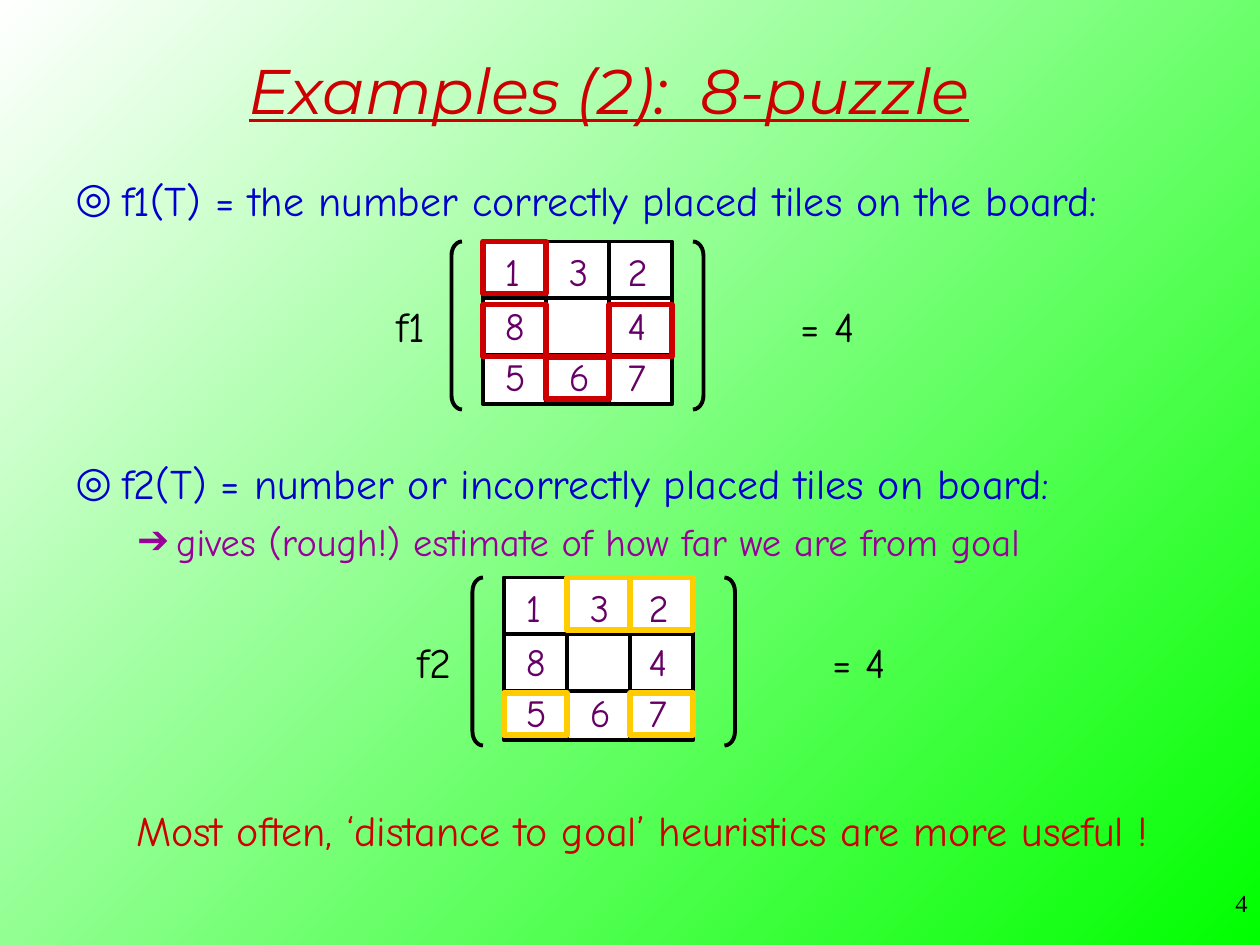
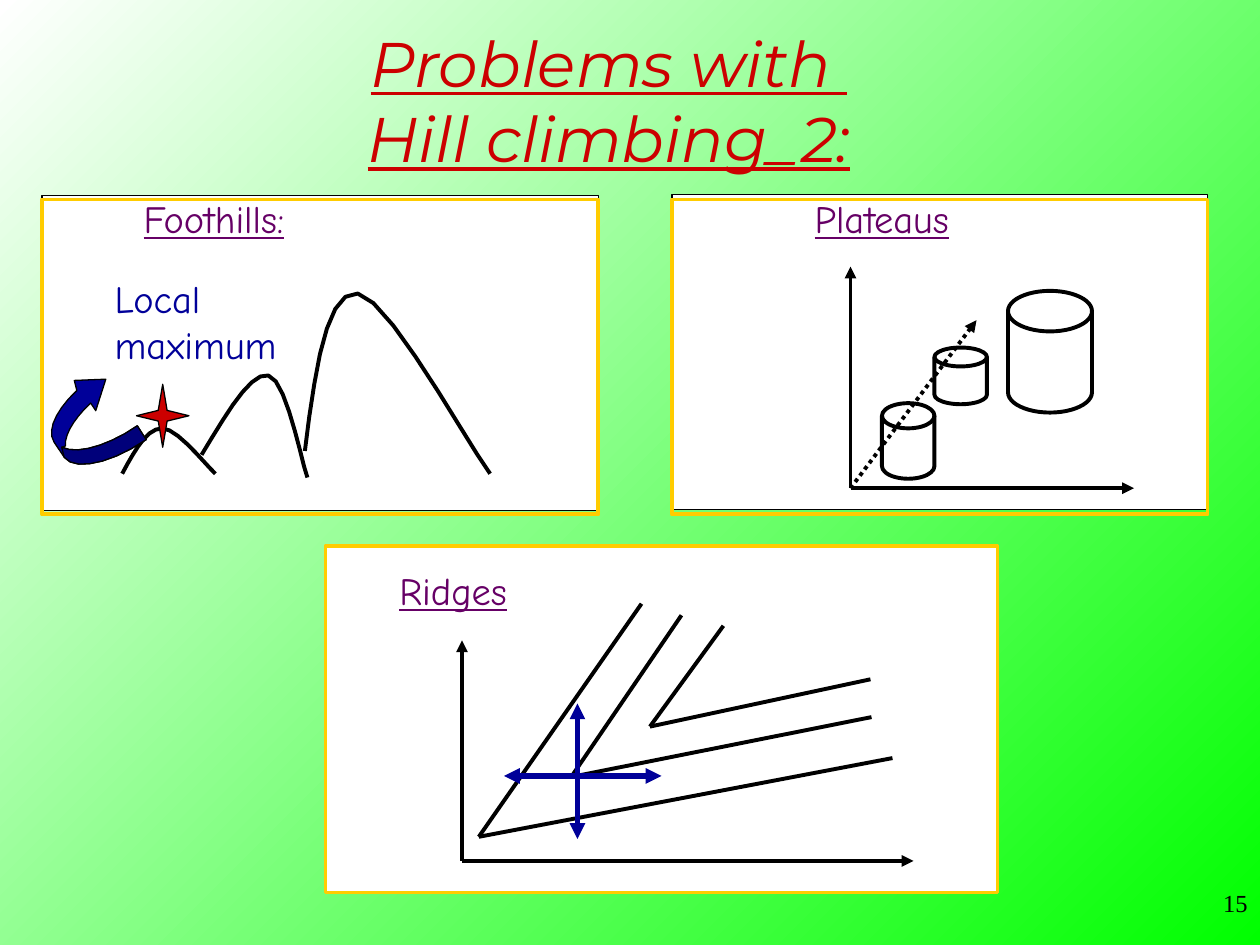
from lxml import etree
from pptx import Presentation
from pptx.dml.color import RGBColor
from pptx.enum.dml import MSO_LINE
from pptx.enum.shapes import MSO_CONNECTOR, MSO_SHAPE
from pptx.enum.text import MSO_ANCHOR, MSO_AUTO_SIZE, PP_ALIGN
from pptx.oxml.ns import qn
from pptx.util import Inches, Pt

RECT, DISK, STAR = MSO_SHAPE.RECTANGLE, MSO_SHAPE.FLOWCHART_MAGNETIC_DISK, MSO_SHAPE.STAR_4_POINT
BRACKETS = MSO_SHAPE.LEFT_BRACKET, MSO_SHAPE.RIGHT_BRACKET
STRAIGHT = MSO_CONNECTOR.STRAIGHT
LINE, OUTLINE = "line", "outline"
DOTTED = MSO_LINE.ROUND_DOT
LEFT, CENTER, RIGHT = PP_ALIGN.LEFT, PP_ALIGN.CENTER, PP_ALIGN.RIGHT
MIDDLE, TOP = MSO_ANCHOR.MIDDLE, MSO_ANCHOR.TOP
GROW = MSO_AUTO_SIZE.SHAPE_TO_FIT_TEXT

TITLE_FONT, BODY_FONT, NUMBER_FONT = "Montserrat", "Comic Neue", "Times New Roman"
RED, YELLOW, NAVY, PURPLE = "CC0000", "FFCC00", "000099", "660066"
BLUE, VIOLET, BLACK, WHITE, GREEN = "0000CC", "990099", "000000", "FFFFFF", "00FF00"
SHADE = "00007A"
STEPS = 7

rgb = RGBColor.from_string
prs = Presentation()
prs.slide_width, prs.slide_height = Inches(10), Inches(7.5)
U = prs.slide_width / 120
FINE = prs.slide_width / 10000


def draw(s, kind, box, fill=None, line=BLACK, width=2.25, dash=None, ends=()):
    if kind == OUTLINE:
        pts = [(x * 10, y * 10) for x, y in box]
        fb = s.shapes.build_freeform(*pts[0], scale=FINE)
        fb.add_line_segments(pts[1:], close=fill is not None)
        sp = fb.convert_to_shape()
    elif kind == LINE:
        sp = s.shapes.add_connector(STRAIGHT, *[int(v * U) for v in box])
    else:
        sp = s.shapes.add_shape(kind, *[int(v * U) for v in box])
    sp.line.color.rgb = rgb(line)
    sp.line.width = Pt(width)
    if dash:
        sp.line.dash_style = dash
    if kind == LINE:
        spPr = sp._element.spPr
        for end in ends:
            etree.SubElement(spPr.find(qn("a:ln")), qn(end), type="triangle")
        etree.SubElement(spPr, qn("a:effectLst"))
        return sp
    sp.shadow.inherit = False
    if fill:
        sp.fill.solid()
        sp.fill.fore_color.rgb = rgb(fill)
    else:
        sp.fill.background()
    return sp


def add_text(s, box, paras, font=BODY_FONT, wrap=False, align=LEFT, anchor=TOP, underline=None, italic=None):
    tf = s.shapes.add_textbox(*[int(v * U) for v in box]).text_frame
    tf.word_wrap = wrap
    tf.vertical_anchor = anchor
    if not wrap:
        tf.auto_size = GROW
    for i, (text, size, color) in enumerate(paras):
        p = tf.add_paragraph() if i else tf.paragraphs[0]
        p.alignment = align
        for j, part in enumerate(text.split("\n")):
            if j:
                p.add_line_break()
            r = p.add_run()
            r.text = part
            r.font.name, r.font.size = font, Pt(size)
            r.font.color.rgb = rgb(color)
            r.font.underline, r.font.italic = underline, italic
    return tf


bg = prs.slide_master.background.fill
bg.gradient()
bg.gradient_angle = 135
for stop, color in zip(bg.gradient_stops, (GREEN, WHITE)):
    stop.color.rgb = rgb(color)

slides = []
for title, top, number in (("Examples (2):  8-puzzle", 1, "4"),
                           ("Problems with \nHill climbing_2:", 2, "15")):
    s = prs.slides.add_slide(prs.slide_layouts[6])
    add_text(s, (7, top, 102, 15), [(title, 36, RED)], TITLE_FONT, True, CENTER, MIDDLE, True, True)
    add_text(s, (95, 84, 25, 6), [(number, 14, BLACK)], NUMBER_FONT, True, RIGHT)
    slides.append(s)
puzzle, hills = slides

definitions = [
    (16, [("f1(T) = the number correctly placed tiles on the board:", 24, BLUE)]),
    (43, [("f2(T) = number or incorrectly placed tiles on board:", 24, BLUE),
          ("gives (rough!) estimate of how far we are from goal", 22, VIOLET)]),
]
bullets = [("◎", 0.37, -0.37, 6), ("➔", 0.8, -0.31, 5.5)]

tiles = ("132", "8 4", "567")
digit_cols, digit_rows = (0.9, 7, 12.6), (0, 5.2, 10)
mark_rows = ((0, 5), (6, 5), (11, 4))
boards = [
    ("f1", 46, 23, (36.6, 75.1), (43, 66), RED, ((0, 0), (1, 2), (2, 1), (1, 0))),
    ("f2", 48, 55, (38.6, 78.1), (45, 69), YELLOW, ((0, 1), (0, 2), (2, 2), (2, 0))),
]
for name, left, top, labels, sides, color, marks in boards:
    draw(puzzle, RECT, (left, top, 18, 15.5), WHITE)
    for k in (1, 2):
        x, y = left + 6 * k, top + 5.4 * k
        draw(puzzle, LINE, (x, top, x, top + 15.5))
        draw(puzzle, LINE, (left, y, left + 18, y))
    for dy, row in zip(digit_rows, tiles):
        for dx, digit in zip(digit_cols, row):
            if digit != " ":
                add_text(puzzle, (left + dx, top + dy, 4.3, 5.6), [(digit, 22, PURPLE)])
    for row, col in marks:
        dy, height = mark_rows[row]
        draw(puzzle, RECT, (left + 6 * col, top + dy, 6, height), None, color, 3)
    for kind, x in zip(BRACKETS, sides):
        draw(puzzle, kind, (x, top, 1, 16)).adjustments[0] = 1.33
    for x, label, width in zip(labels, (name, "= 4"), (5.8, 8)):
        add_text(puzzle, (x, top + 5, width, 6), [(label, 24, BLACK)])

for top, paras in definitions:
    tf = add_text(puzzle, (6, top, 106, 12), paras, wrap=True)
    for p, (char, margin, indent, before), (_, _, color) in zip(tf.paragraphs, bullets, paras):
        p.space_before = Pt(before)
        pPr = p._p.get_or_add_pPr()
        pPr.set("marL", str(Inches(margin)))
        pPr.set("indent", str(Inches(indent)))
        etree.SubElement(etree.SubElement(pPr, qn("a:buClr")), qn("a:srgbClr"), val=color)
        etree.SubElement(pPr, qn("a:buFont"), typeface=BODY_FONT)
        etree.SubElement(pPr, qn("a:buChar"), char=char)

add_text(puzzle, (11.8, 76, 99.2, 6),
         [("Most often, ‘distance to goal’ heuristics are more useful !", 24, RED)])

panels = [
    ("Foothills:", (12.5, 18, 16.4, 5.6), (4, 18.6, 53, 30), 19),
    ("Plateaus", (76.4, 18, 15.6, 5.6), (64, 18.5, 51, 30), 19),
    ("Ridges", (36.85, 53.4, 13.2, 5.6), (31, 52, 64, 33), 52),
]
for name, label_box, (x, y, w, h), frame_top in panels:
    draw(hills, RECT, (x, y, w, h), WHITE, width=0.75)
    draw(hills, RECT, (x, frame_top, w, h), None, YELLOW)
    add_text(hills, label_box, [(name, 22, PURPLE)], underline=True)

add_text(hills, (9.75, 25.6, 18.2, 10), [("Local", 22, NAVY), ("maximum", 22, NAVY)])

tail = [[(88, 368), (59, 374), (51, 363)]]
inner = [[(49, 355)], [(61, 361), (86, 354), (109, 338)], [(116, 349)]]
head = [[(43, 351)], [(37, 342), (44, 326), (61, 310)], [(59, 302)], [(84, 301)],
        [(76, 326)], [(72, 320)], [(59, 332), (51, 345), (52, 354)]]
curves = [
    ((97, 376), [[(107, 358), (116, 340), (129, 340)], [(141, 340), (164, 370), (171, 376)]], None, 2.25),
    ((160, 361), [[(180, 328), (199, 295), (213, 298)], [(227, 301), (239, 365), (244, 379)]], None, 2.25),
    ((242, 358), [[(250, 294), (259, 230), (284, 233)], [(308, 236), (371, 352), (389, 376)]], None, 2.25),
    ((116, 349), tail + head + inner, NAVY, 0.75),
    ((116, 349), tail + inner, SHADE, 0.75),
]
for start, segments, fill, width in curves:
    pts = [start]
    for seg in segments:
        if len(seg) == 1:
            pts += seg
            continue
        corners = list(zip(pts[-1], *seg))
        for k in range(1, STEPS + 1):
            t = k / STEPS
            pts.append([(1 - t) ** 3 * a + 3 * (1 - t) ** 2 * t * b + 3 * (1 - t) * t ** 2 * c + t ** 3 * d
                        for a, b, c, d in corners])
    draw(hills, OUTLINE, pts, fill, width=width)
draw(hills, STAR, (13, 36.6, 5, 6), RED, width=0.75).adjustments[0] = 0.12

for disk in ((84, 38.4, 5, 7.2), (96, 27.7, 8, 11.6), (89, 33.1, 5, 5.4)):
    draw(hills, DISK, disk)

arrow = ("a:tailEnd",)
for origin, tip, dash in (((81, 46.5), (108, 46.5), None), ((81, 46.5), (81, 25.4), None),
                          ((81, 46.5), (93, 30.5), DOTTED),
                          ((44, 82), (44, 61), None), ((44, 82), (87, 82), None)):
    draw(hills, LINE, origin + tip, dash=dash, ends=arrow)

ridges = [
    ((61.9, 69.2), (68.9, 59.6), (82.9, 64.7)),
    ((54.4, 74), (64.9, 58.6), (83, 68.3)),
    ((45.6, 79.7), (61.1, 57.5), (85, 72.2)),
]
for apex, *tips in ridges:
    for tip in tips:
        draw(hills, LINE, tip + apex)

for move in ((48, 73.9, 63, 73.9), (55, 79.9, 55, 67)):
    draw(hills, LINE, move, line=NAVY, width=3, ends=("a:headEnd", "a:tailEnd"))

prs.save("out.pptx")
